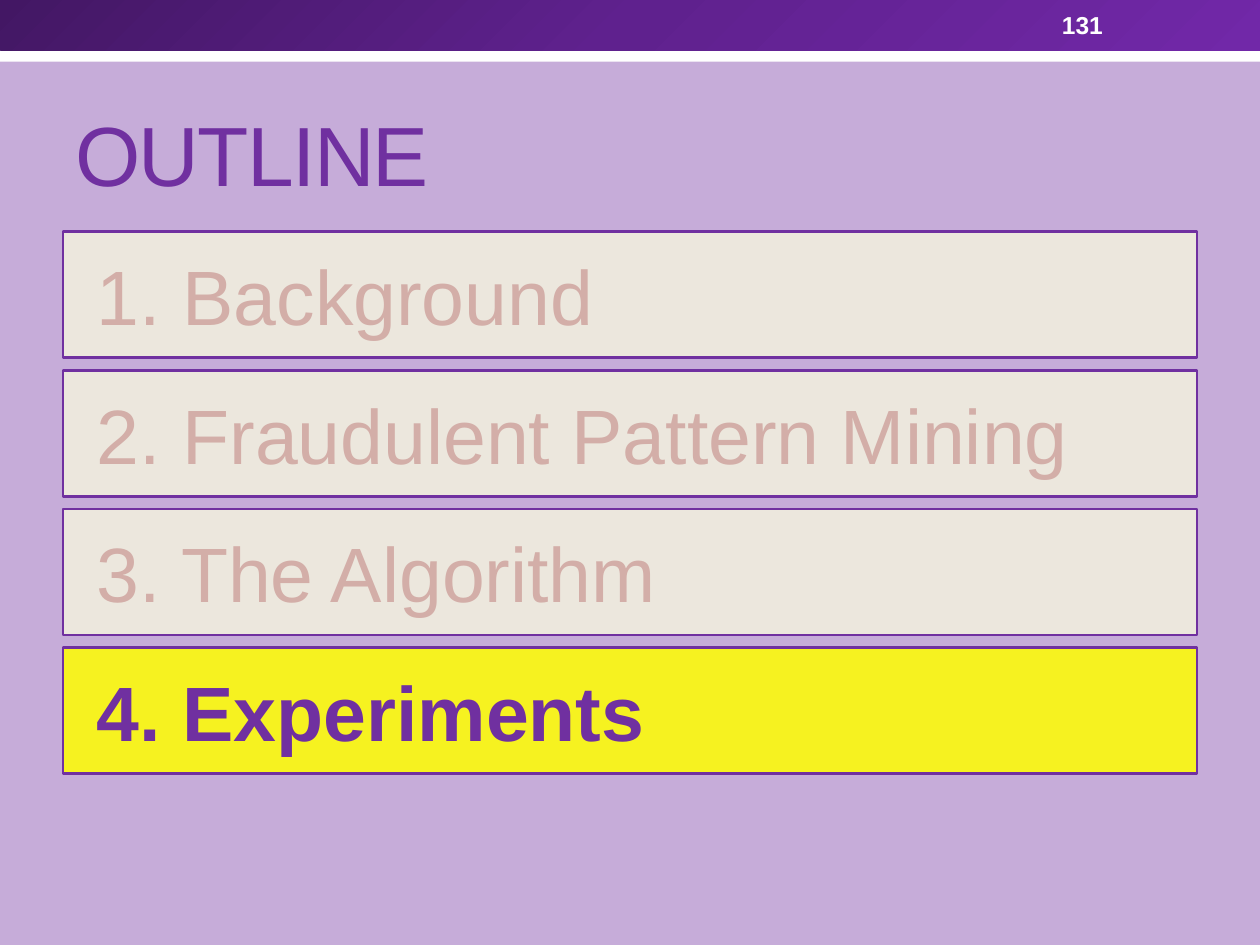
from copy import deepcopy

from lxml import etree
from pptx import Presentation
from pptx.dml.color import RGBColor
from pptx.enum.shapes import MSO_SHAPE
from pptx.enum.text import MSO_ANCHOR, PP_ALIGN
from pptx.oxml.ns import qn
from pptx.util import Pt

RECT = MSO_SHAPE.RECTANGLE
LEFT = PP_ALIGN.LEFT
MID, LOW = MSO_ANCHOR.MIDDLE, MSO_ANCHOR.BOTTOM

ITEMS = ["1. Background", "2. Fraudulent Pattern Mining", "3. The Algorithm", "4. Experiments"]
NOW = 3
TITLE, PAGE = "OUTLINE", "131"
BACK, MAIN, WHITE = "C6ACD9", "7030A0", "FFFFFF"
DIM, PALE, GLOW = "D3AEA8", "F3F2DE", "FFFF00"
STOPS = ["431764", "5F218E", "7128A8"]
TOP, STEP, HIGH = 184, 110, 100


def px(n):
    return n * 9144


def rgb(code):
    return RGBColor.from_string(code)


def bar(box, color):
    shape = slide.shapes.add_shape(RECT, *map(px, box))
    shape.shadow.inherit = False
    shape.fill.solid()
    shape.fill.fore_color.rgb = rgb(color)
    shape.line.fill.background()
    return shape


def write(shape, text, size, color, bold=False, anchor=MID, inset=10):
    frame = shape.text_frame
    frame.word_wrap = True
    frame.vertical_anchor = anchor
    frame.margin_left = px(inset)
    para = frame.paragraphs[0]
    para.text = text
    para.alignment = LEFT
    font = para.font
    font.name, font.size, font.bold = "Arial", Pt(size), bold
    font.color.rgb = rgb(color)
    return para


def shade(shape):
    fill = shape.fill
    fill.gradient()
    fill.gradient_angle = 315
    stops = shape.element.spPr.find(".//" + qn("a:gsLst"))
    stops.insert(1, deepcopy(stops[0]))
    for i, (stop, color) in enumerate(zip(fill.gradient_stops, STOPS)):
        stop.position = i / 2
        stop.color.rgb = rgb(color)


def fade(shape, share):
    tint = shape.element.spPr.find(qn("a:solidFill"))[0]
    etree.SubElement(tint, qn("a:alpha")).set("val", str(share * 1000))


deck = Presentation()
deck.slide_width, deck.slide_height = px(1000), px(750)
slide = deck.slides.add_slide(deck.slide_layouts[6])
slide.background.fill.solid()
slide.background.fill.fore_color.rgb = rgb(BACK)

bar((0, 24, 1000, 25), WHITE)
shade(bar((0, 0, 1000, 40), WHITE))

head = slide.shapes.add_textbox(*map(px, (50, 58, 900, 108)))
para = write(head, TITLE, 48, MAIN, anchor=LOW)
para.runs[0].font.element.set("spc", "-100") if hasattr(para.runs[0].font, "element") else para.runs[0]._r.get_or_add_rPr().set("spc", "-100")

num = slide.shapes.add_textbox(*map(px, (833, 2, 117, 36)))
write(num, PAGE, 14, WHITE, bold=True)

for i, item in enumerate(ITEMS):
    live = i == NOW
    top = 514 if live else TOP + i * STEP
    row = bar((50, top, 900, HIGH), GLOW if live else PALE)
    fade(row, 85)
    row.line.color.rgb = rgb(MAIN)
    row.line.width = Pt(1.5)
    write(row, item, 44, MAIN if live else DIM, bold=live, inset=27)

deck.save("out.pptx")
